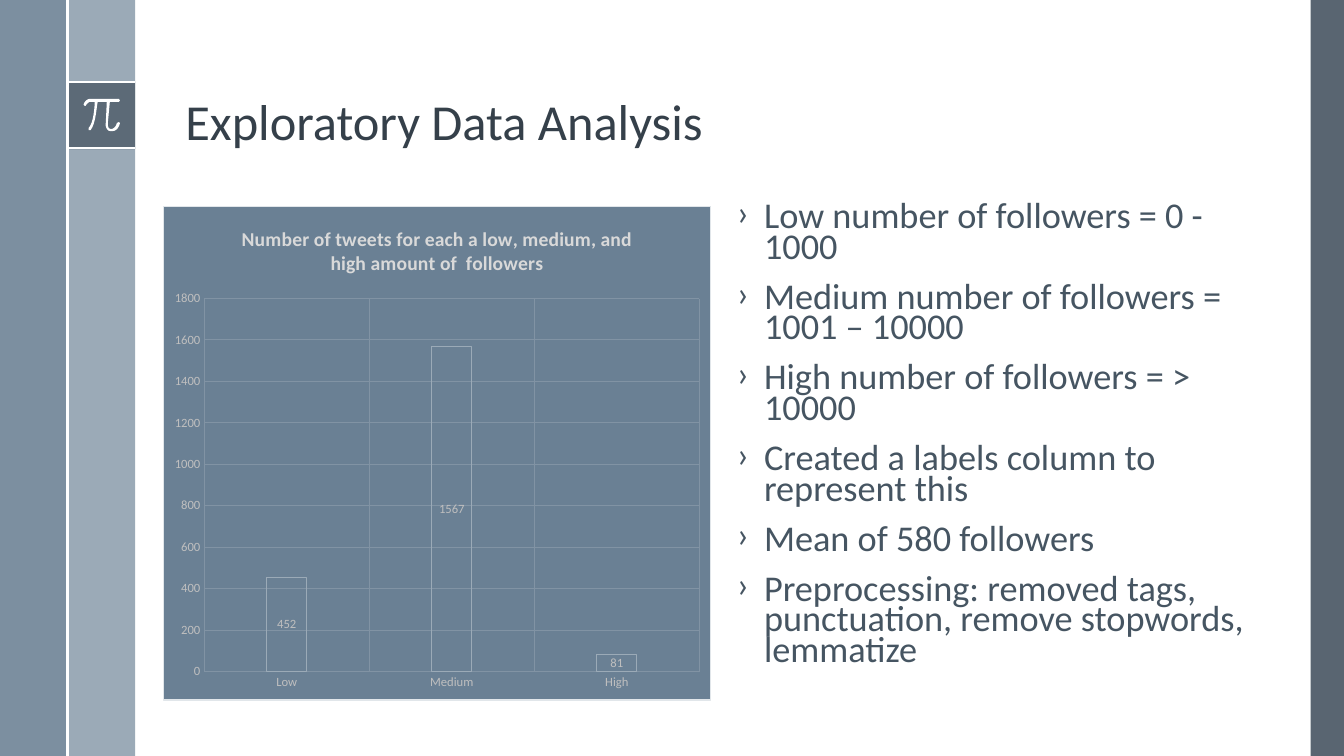
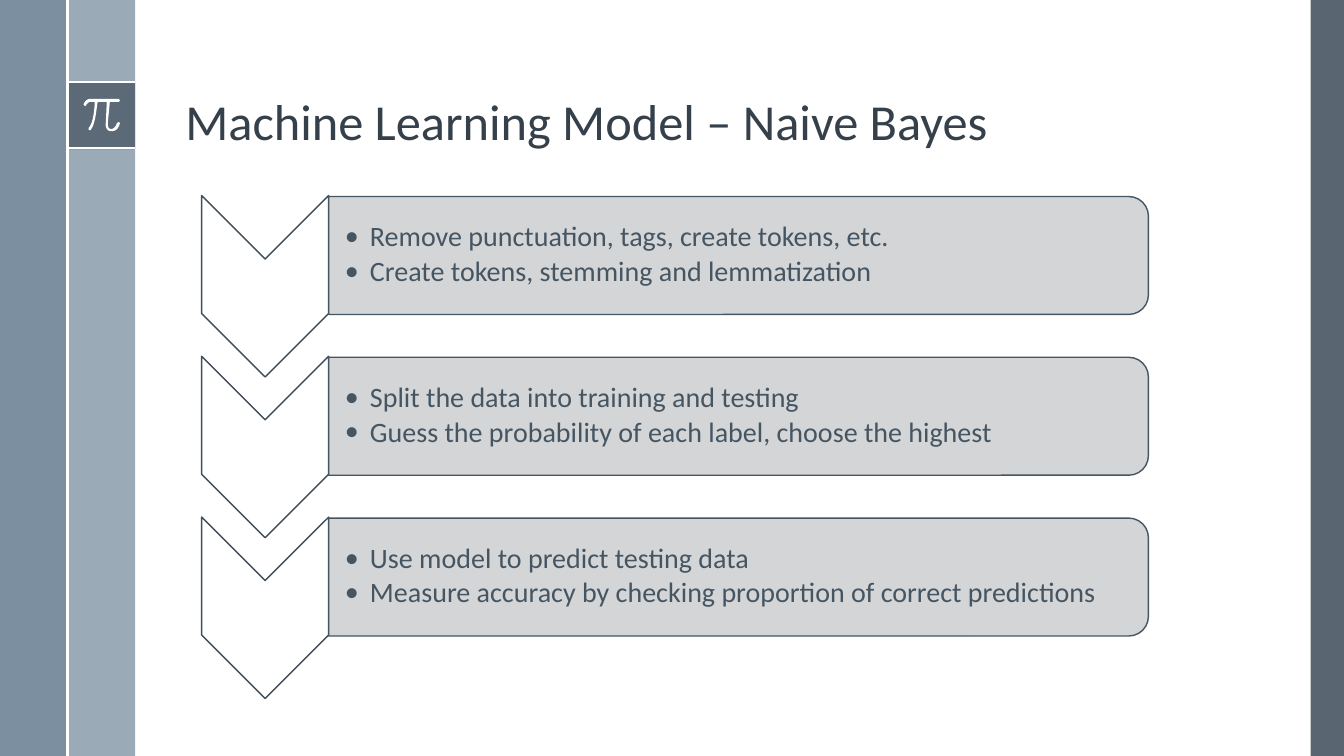
from lxml.etree import SubElement
from pptx import Presentation
from pptx.chart.data import CategoryChartData
from pptx.dml.color import RGBColor
from pptx.enum.chart import XL_CHART_TYPE as ChartType
from pptx.enum.chart import XL_LABEL_POSITION as LabelPosition
from pptx.enum.chart import XL_TICK_MARK as TickMark
from pptx.enum.shapes import MSO_CONNECTOR as Connector
from pptx.enum.shapes import MSO_SHAPE as Shape
from pptx.enum.text import MSO_ANCHOR as Anchor
from pptx.oxml import parse_xml
from pptx.oxml.ns import nsdecls, qn
from pptx.util import Inches, Pt

COLORS = {
    "white": "FFFFFF",
    "slate": "475562",
    "steel": "6A8093",
    "mist": "9BAAB7",
    "title": "35404A",
    "body": "465562",
    "chevron line": "404D59",
    "step": "CFD1D3",
    "chart": "6A8094",
    "chart border": "E1E6EA",
    "chart grid": "8193A4",
    "chart title": "D9D9D9",
    "chart text": "BFBFBF",
}

PI_START = (1.18, 0.98)
PI_OUTLINE = [
    (0.9, 0.98),
    (0.85, 0.98, 0.83, 1.03, 0.83, 1.04),
    (0.84, 1.05), (0.85, 1.05),
    (0.85, 1.05, 0.87, 1.01, 0.9, 1.01),
    (0.94, 1.01),
    (0.94, 1.05, 0.93, 1.22, 0.88, 1.27),
    (0.88, 1.29), (0.9, 1.29),
    (0.95, 1.23, 0.96, 1.05, 0.97, 1.01),
    (1.06, 1.01), (1.05, 1.22),
    (1.05, 1.22, 1.04, 1.26, 1.07, 1.29),
    (1.08, 1.3, 1.09, 1.3, 1.1, 1.3),
    (1.12, 1.3),
    (1.17, 1.3, 1.19, 1.23, 1.19, 1.22),
    (1.18, 1.21), (1.16, 1.22),
    (1.16, 1.22, 1.15, 1.27, 1.11, 1.28),
    (1.1, 1.28, 1.09, 1.28, 1.08, 1.27),
    (1.07, 1.26, 1.07, 1.23, 1.07, 1.22),
    (1.09, 1.01), (1.18, 1.01), (1.19, 1.0),
]

FOLLOWER_NOTES = [
    "Low number of followers = 0 - 1000",
    "Medium number of followers = 1001 – 10000",
    "High number of followers = > 10000",
    "Created a labels column to represent this",
    "Mean of 580 followers",
    "Preprocessing: removed tags, punctuation, remove stopwords, lemmatize",
]

MODEL_STEPS = [
    ["Remove punctuation, tags, create tokens, etc.",
     "Create tokens, stemming and lemmatization"],
    ["Split the data into training and testing",
     "Guess the probability of each label, choose the highest"],
    ["Use model to predict testing data",
     "Measure accuracy by checking proportion of correct predictions"],
]


def rgb(color):
    return RGBColor.from_string(COLORS[color])


def trace(start, segments, steps=8):
    points = [start]
    for segment in segments:
        if len(segment) == 2:
            points.append(segment)
            continue
        x0, y0 = points[-1]
        x1, y1, x2, y2, x3, y3 = segment
        for step in range(1, steps + 1):
            t = step / steps
            a, b, c, d = (1 - t) ** 3, 3 * t * (1 - t) ** 2, 3 * t * t * (1 - t), t ** 3
            points.append((a * x0 + b * x1 + c * x2 + d * x3,
                           a * y0 + b * y1 + c * y2 + d * y3))
    return points


class Deck:
    font = "Calibri"

    def __init__(self):
        self.show = Presentation()
        self.show.slide_width, self.show.slide_height = Inches(13.33), Inches(7.5)
        self.slide = None

    def new_slide(self, title):
        self.slide = self.show.slides.add_slide(self.show.slide_layouts[6])
        self.shape(Shape.RECTANGLE, (13, 0, 0.33, 7.5), "slate", alpha=90)
        self.shape(Shape.RECTANGLE, (0.67, 0, 0.67, 7.5), "mist")
        self.shape(Shape.RECTANGLE, (0, 0, 0.67, 7.5), "steel", alpha=88)
        self.shape(Shape.RECTANGLE, (0.67, 0.81, 0.67, 0.67), "slate", alpha=75)
        for y in (0.81, 1.47):
            self.rule((0.67, y), (1.34, y))
        self.outline(trace(PI_START, PI_OUTLINE), "white")
        self.rule((0.67, 0), (0.67, 7.5))
        self.text((1.74, 0.19, 10.7, 1.36), [title], 36, "title", 0.9, anchor=Anchor.BOTTOM)

    def paint(self, shape, fill, line=None, alpha=None):
        shape.shadow.inherit = False
        shape.fill.solid()
        shape.fill.fore_color.rgb = rgb(fill)
        if alpha:
            tint = shape.element.spPr.find(qn("a:solidFill")).find(qn("a:srgbClr"))
            SubElement(tint, qn("a:alpha"), val=str(alpha * 1000))
        if line:
            shape.line.color.rgb = rgb(line)
            shape.line.width = Pt(1)
        else:
            shape.line.fill.background()

    def shape(self, kind, box, fill, line=None, alpha=None, rotation=0):
        shape = self.slide.shapes.add_shape(kind, *map(Inches, box))
        shape.rotation = rotation
        self.paint(shape, fill, line, alpha)

    def outline(self, points, fill):
        corners = [(Inches(x), Inches(y)) for x, y in points]
        builder = self.slide.shapes.build_freeform(*corners[0])
        builder.add_line_segments(corners[1:], close=True)
        self.paint(builder.convert_to_shape(), fill)

    def rule(self, start, end):
        rule = self.slide.shapes.add_connector(Connector.STRAIGHT, *map(Inches, start + end))
        rule.line.color.rgb = rgb("white")
        rule.line.width = Pt(1.5)
        SubElement(rule.element.spPr, qn("a:effectLst"))

    def text(self, box, lines, size, color, spacing, before=0, after=0,
             bullet=None, indent=0, anchor=Anchor.TOP, insets=(0.1, 0.05, 0.1, 0.05)):
        frame = self.slide.shapes.add_textbox(*map(Inches, box)).text_frame
        frame.word_wrap = True
        frame.vertical_anchor = anchor
        (frame.margin_left, frame.margin_top,
         frame.margin_right, frame.margin_bottom) = map(Inches, insets)
        for index, line in enumerate(lines):
            paragraph = frame.add_paragraph() if index else frame.paragraphs[0]
            paragraph.line_spacing = spacing
            paragraph.space_before, paragraph.space_after = Pt(before), Pt(after)
            if bullet:
                properties = paragraph._p.get_or_add_pPr()
                properties.set("marL", str(Inches(indent)))
                properties.set("indent", str(-Inches(indent)))
                SubElement(properties, qn("a:buFont"), typeface=self.font)
                SubElement(properties, qn("a:buChar"), char=bullet)
            run = paragraph.add_run()
            run.text = line
            self.style(run.font, size, color)

    def style(self, font, size, color, bold=False):
        font.name, font.size, font.bold = self.font, Pt(size), bold
        font.color.rgb = rgb(color)

    def column_chart(self, box, title, categories, values, top, step):
        data = CategoryChartData()
        data.categories = categories
        data.add_series("Series 1", values)
        chart = self.slide.shapes.add_chart(
            ChartType.COLUMN_CLUSTERED, *map(Inches, box), data).chart
        self.style(chart.font, 10, "body")
        chart.has_legend = False
        heading = chart.chart_title.text_frame.paragraphs[0].add_run()
        heading.text = title
        self.style(heading.font, 14, "chart title", bold=True)
        for axis in (chart.category_axis, chart.value_axis):
            axis.major_tick_mark = axis.minor_tick_mark = TickMark.NONE
            axis.format.line.fill.background()
            axis.has_major_gridlines = True
            axis.major_gridlines.format.line.color.rgb = rgb("chart grid")
            axis.major_gridlines.format.line.width = Pt(0.75)
            self.style(axis.tick_labels.font, 9, "chart text")
        chart.value_axis.minimum_scale = 0
        chart.value_axis.maximum_scale = top
        chart.value_axis.major_unit = step
        plot = chart.plots[0]
        plot.gap_width, plot.overlap, plot.vary_by_categories = 315, -40, False
        columns = plot.series[0]
        columns.format.fill.background()
        columns.format.line.color.rgb = rgb("mist")
        columns.format.line.width = Pt(0.75)
        labels = columns.data_labels
        labels.show_value = True
        labels.position = LabelPosition.CENTER
        self.style(labels.font, 9, "chart text")
        chart.element.find(qn("c:txPr")).addprevious(parse_xml(
            f'<c:spPr {nsdecls("c", "a")}>'
            f'<a:solidFill><a:srgbClr val="{COLORS["chart"]}"/></a:solidFill>'
            f'<a:ln w="{Pt(0.75)}"><a:solidFill>'
            f'<a:srgbClr val="{COLORS["chart border"]}"/></a:solidFill></a:ln></c:spPr>'))

    def model_step(self, top, lines):
        self.shape(Shape.CHEVRON, (1.73, top + 0.27, 1.8, 1.26), "white",
                   "chevron line", rotation=90)
        self.shape(Shape.ROUND_2_SAME_RECTANGLE, (6.74, top - 3.47, 1.17, 8.13), "step",
                   "body", alpha=90, rotation=90)
        self.text((3.26, top + 0.06, 8.07, 1.06), lines, 20, "body", 0.9, after=3,
                  bullet="•", indent=0.25, anchor=Anchor.MIDDLE,
                  insets=(0.16, 0.01, 0.01, 0.01))


def main():
    deck = Deck()
    deck.new_slide("Exploratory Data Analysis")
    deck.text((7.21, 1.98, 5.27, 5), FOLLOWER_NOTES, 25.9, "body", 0.7, before=14,
              bullet="›", indent=0.27)
    deck.column_chart((1.62, 2.04, 5.43, 4.91),
                      "Number of tweets for each a low, medium, and high amount of  followers",
                      ["Low", "Medium", "High"], [452, 1567, 81], 1800, 200)

    deck.new_slide("Machine Learning Model – Naive Bayes")
    for index, lines in enumerate(MODEL_STEPS):
        deck.model_step(1.94 + 1.595 * index, lines)
    deck.show.save("out.pptx")


if __name__ == "__main__":
    main()
